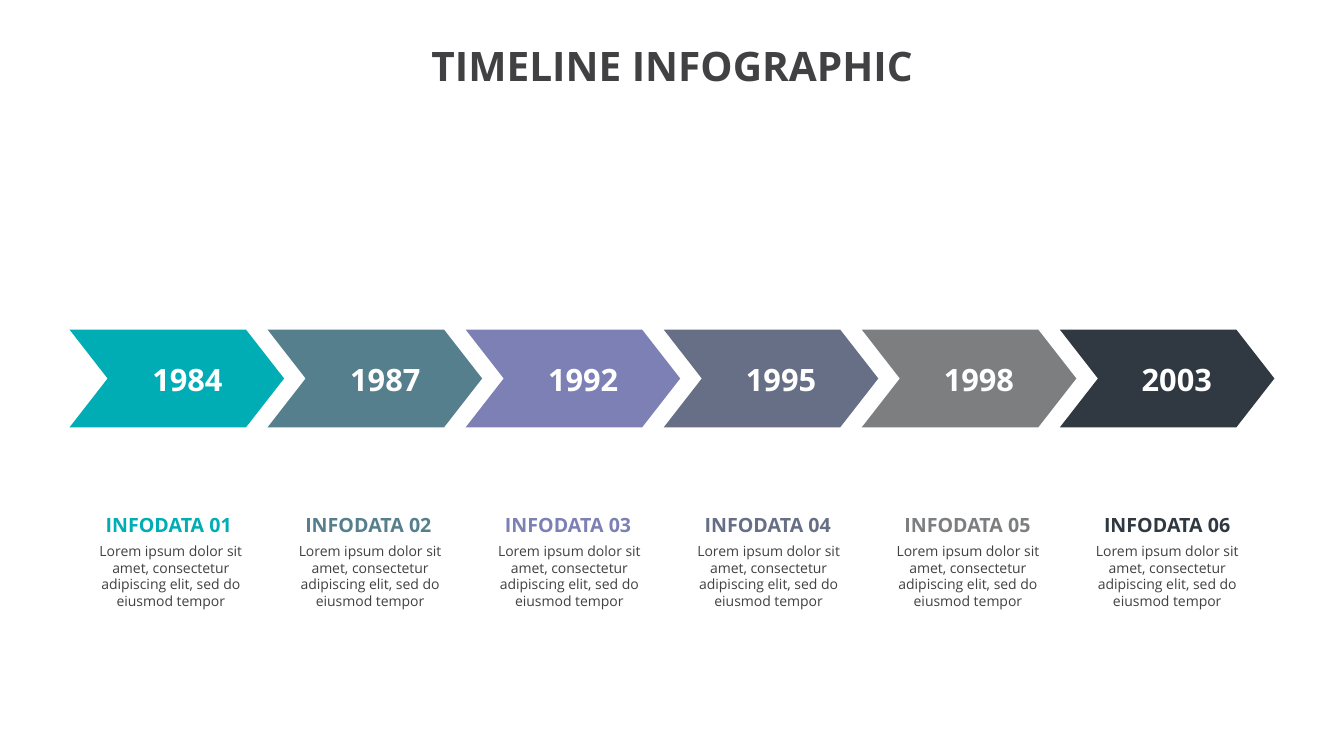
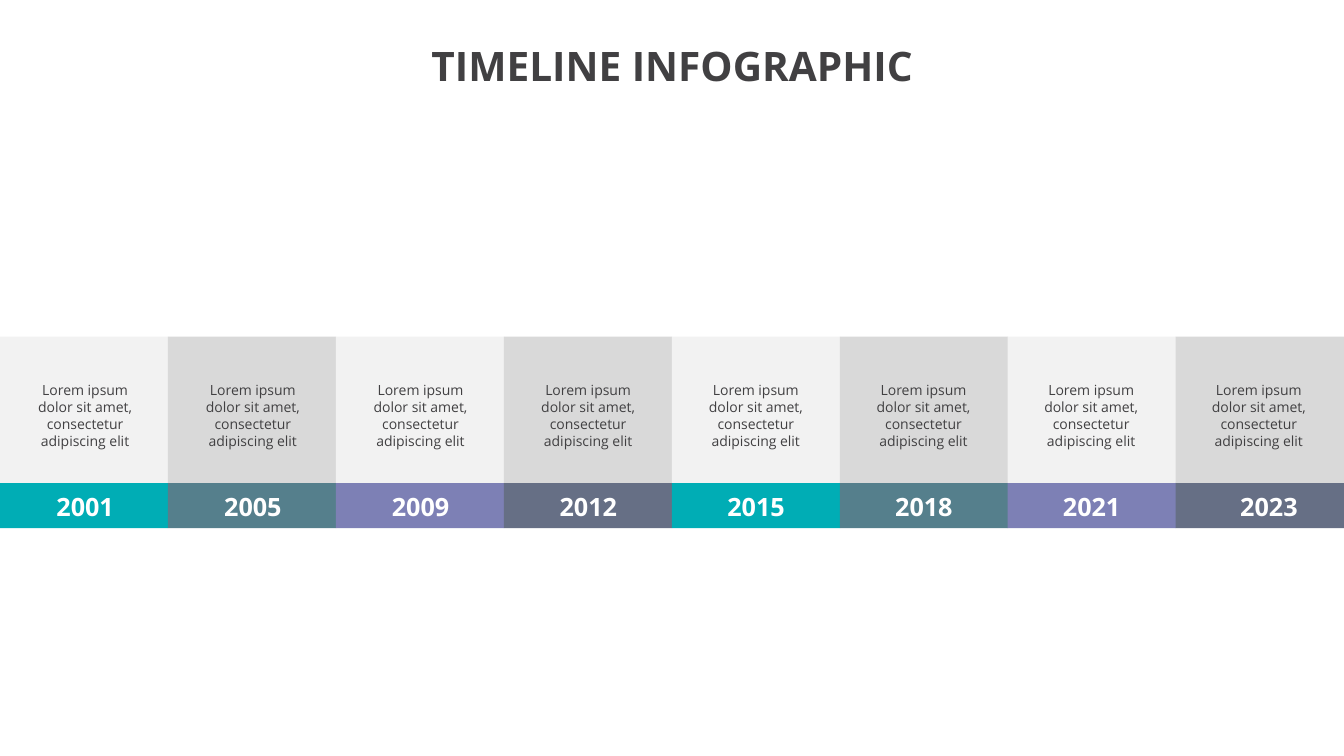
from dataclasses import dataclass

from pptx import Presentation
from pptx.dml.color import RGBColor
from pptx.enum.shapes import MSO_SHAPE as Shape
from pptx.enum.text import MSO_AUTO_SIZE as AutoSize, PP_ALIGN as Align
from pptx.util import Inches, Pt


@dataclass(frozen=True)
class Theme:
    font: str = "Open Sans"
    # Colours
    ink: str = "414042"
    white: str = "FFFFFF"
    accents: tuple = ("00ADB5", "557F8C", "7D80B5", "666F85", "7C7E80", "303841")
    panels: tuple = ("F2F2F2", "D9D9D9")
    # Type sizes
    title: int = 29
    arrow_year: int = 22
    band_year: int = 18
    heading: int = 14
    body: int = 10


def spread(first, last, count):
    """Evenly spaced positions from first to last."""
    return [first + (last - first) * index / (count - 1) for index in range(count)]


class Deck:
    def __init__(self, theme):
        self.theme = theme
        self.presentation = Presentation()
        self.presentation.slide_width = Inches(13.34)
        self.presentation.slide_height = Inches(7.5)
        self.slide = None

    def add_slide(self, title):
        blank = self.presentation.slide_layouts[6]
        self.slide = self.presentation.slides.add_slide(blank)
        self.label(title, 4.28, 0.41, 4.79, 0.48, self.theme.title, self.theme.ink)

    def block(self, kind, left, top, width, height, color):
        """A filled shape without outline or shadow."""
        shape = self.slide.shapes.add_shape(
            kind, Inches(left), Inches(top), Inches(width), Inches(height))
        shape.shadow.inherit = False
        shape.fill.solid()
        shape.fill.fore_color.rgb = RGBColor.from_string(color)
        shape.line.fill.background()
        return shape

    def text(self, words, left, top, width, height, size, color, bold=False):
        """A centred text box, returned as its text frame."""
        box = self.slide.shapes.add_textbox(
            Inches(left), Inches(top), Inches(width), Inches(height))
        text_frame = box.text_frame
        text_frame.text = words
        text_frame.word_wrap = True
        text_frame.auto_size = AutoSize.SHAPE_TO_FIT_TEXT
        paragraph = text_frame.paragraphs[0]
        paragraph.alignment = Align.CENTER
        font = paragraph.runs[0].font
        font.name = self.theme.font
        font.size = Pt(size)
        font.bold = bold
        font.color.rgb = RGBColor.from_string(color)
        return text_frame

    def label(self, words, left, top, width, height, size, color):
        """A bold single line without margins."""
        text_frame = self.text(words, left, top, width, height, size, color, bold=True)
        text_frame.word_wrap = False
        text_frame.margin_left = text_frame.margin_right = 0
        text_frame.margin_top = text_frame.margin_bottom = 0

    def body(self, words, left, top, width):
        self.text(words, left, top, width, 0.77, self.theme.body, self.theme.ink)


def add_arrow_timeline(deck):
    theme = deck.theme
    deck.add_slide("TIMELINE INFOGRAPHIC")
    years = ("1984", "1987", "1992", "1995", "1998", "2003")
    count = len(years)
    arrow_lefts = spread(0.69, 10.52, count)
    year_lefts = spread(1.5, 11.32, count)
    heading_lefts = spread(1.03, 10.94, count)
    body_lefts = spread(0.85, 10.74, count)

    for index, (year, color) in enumerate(zip(years, theme.accents)):
        # Arrow with its year
        arrow = deck.block(Shape.CHEVRON, arrow_lefts[index], 3.27, 2.13, 0.97, color)
        arrow.adjustments[0] = 0.39
        deck.label(year, year_lefts[index], 3.58, 0.72, 0.37,
                   theme.arrow_year, theme.white)
        # Heading and description below
        deck.label(f"INFODATA {index + 1:02}", heading_lefts[index], 5.09, 1.29, 0.23,
                   theme.heading, color)
        deck.body("Lorem ipsum dolor sit amet, consectetur adipiscing elit, "
                  "sed do eiusmod tempor", body_lefts[index], 5.33, 1.69)


def add_band_timeline(deck):
    theme = deck.theme
    deck.add_slide("TIMELINE INFOGRAPHIC")
    years = ("2001", "2005", "2009", "2012", "2015", "2018", "2021", "2023")
    count = len(years)
    column_lefts = spread(0, 11.67, count)
    # The last year sits slightly to the right in its band
    year_lefts = spread(0.5, 10.49, count - 1) + [12.25]
    body_lefts = spread(0.26, 11.91, count)

    for index, year in enumerate(years):
        # Year band and the panel above it
        left = column_lefts[index]
        deck.block(Shape.RECTANGLE, left, 4.79, 1.67, 0.45, theme.accents[index % 4])
        deck.block(Shape.RECTANGLE, left, 3.34, 1.67, 1.45, theme.panels[index % 2])
        # Year and description
        deck.label(year, year_lefts[index], 4.87, 0.69, 0.3,
                   theme.band_year, theme.white)
        deck.body("Lorem ipsum dolor sit amet, consectetur adipiscing elit",
                  body_lefts[index], 3.74, 1.17)


def main():
    deck = Deck(Theme())
    add_arrow_timeline(deck)
    add_band_timeline(deck)
    deck.presentation.save("out.pptx")


if __name__ == "__main__":
    main()
